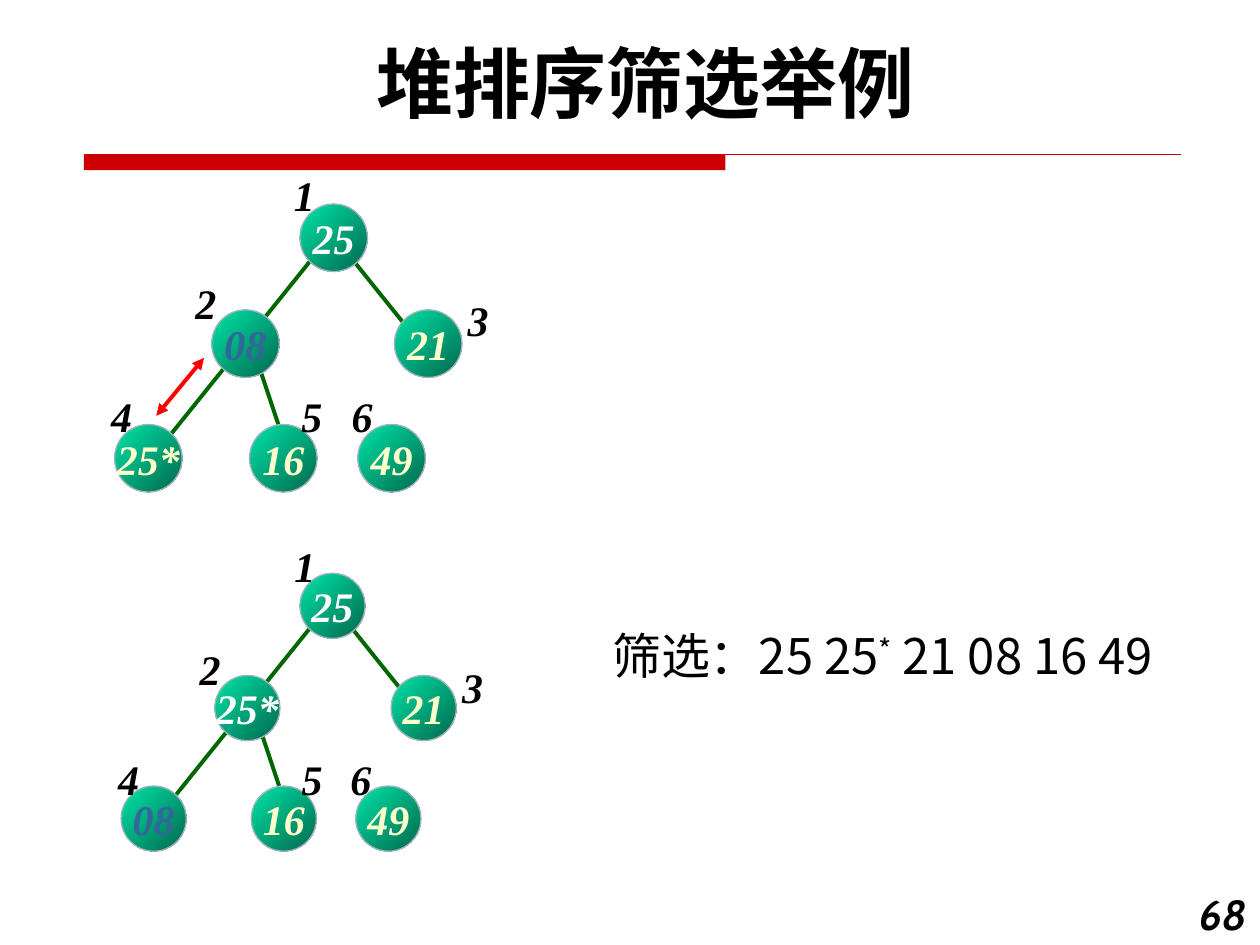
from lxml.etree import SubElement
from pptx import Presentation
from pptx.dml.color import RGBColor
from pptx.enum.shapes import MSO_CONNECTOR, MSO_SHAPE
from pptx.enum.text import MSO_ANCHOR, PP_ALIGN
from pptx.oxml.ns import qn
from pptx.util import Pt

COLORS = {
    "black": "000000", "white": "FFFFFF", "cream": "FFFFCC", "blue": "336699",
    "rule": "CC0000", "edge": "006600", "swap": "FF0000", "outline": "A3B2C1",
    "node light": "00E4A8", "node dark": "00684C",
}

TITLE = "堆排序筛选举例"
PAGE_NUMBER = "68"
RESULT = [("筛选：25 25", False), ("*", True), (" 21 08 16 49", False)]

# Node values in heap order, with their text colours
TREES = [
    {"origin": (171.4, 116.6), "scale": 1, "swap": True,
     "nodes": [("25", "white"), ("08", "blue"), ("21", "cream"),
               ("25*", "cream"), ("16", "cream"), ("49", "cream")]},
    {"origin": (171.4, 327.6), "scale": 0.965, "swap": False,
     "nodes": [("25", "white"), ("25*", "white"), ("21", "cream"),
               ("08", "blue"), ("16", "cream"), ("49", "cream")]},
]

# Tree geometry relative to the top left of the root node, at scale 1
NODE_SIZE = 38.6
NODE_OFFSETS = [(0, 0), (-50.4, 60.5), (54, 60.5), (-105.9, 126), (-28.8, 126), (33.1, 126)]
INDEX_OFFSETS = [(-10.8, -23), (-67, 38.2), (88.5, 48.3), (-115.2, 103), (-6.5, 103), (22.3, 103)]
INDEX_SIZE = (26.6, 36)
EDGES = [((26.6, 27.4), (70.5, 82.1)), ((-23.1, 93.6), (-12.3, 126)), ((10, 27.4), (-78.5, 137.5))]
SWAP_ARROW = ((-82.1, 121), (-54.8, 87.9))

NODE_FONT = {"name": "Times New Roman", "size": Pt(24), "bold": True, "italic": True}
PAGE_FONT = {"name": "Cabin", "size": Pt(24), "bold": True, "italic": True}
TITLE_FONT = {"name": "Cabin", "size": Pt(44), "bold": True}
RESULT_FONT = {"name": "Noto Sans CJK SC", "size": Pt(28)}


def rgb(color):
    return RGBColor.from_string(COLORS[color])


def add_run(paragraph, text, font, color="black"):
    run = paragraph.add_run()
    run.text = text
    for name, value in font.items():
        setattr(run.font, name, value)
    run.font.color.rgb = rgb(color)
    properties = run.font._element
    for tag in ("a:ea", "a:cs"):
        SubElement(properties, qn(tag), typeface=font["name"])
    return run


def add_text(slide, box, align, wrap=True):
    """Add an empty text box and return its paragraph."""
    frame = slide.shapes.add_textbox(*map(Pt, box)).text_frame
    frame.word_wrap = wrap
    frame.paragraphs[0].alignment = align
    return frame.paragraphs[0]


def add_line(slide, start, end, color, width=2.25, arrows=False):
    line = slide.shapes.add_connector(MSO_CONNECTOR.STRAIGHT, *map(Pt, (*start, *end)))
    line.line.color.rgb = rgb(color)
    line.line.width = Pt(width)
    if arrows:
        for tag in ("a:headEnd", "a:tailEnd"):
            SubElement(line.line._get_or_add_ln(), qn(tag), type="triangle")
    SubElement(line._element.spPr, qn("a:effectLst"))


def add_node(slide, left, top, size, value, color):
    node = slide.shapes.add_shape(MSO_SHAPE.OVAL, *map(Pt, (left, top, size, size)))
    node.shadow.inherit = False
    node.fill.gradient()
    node.fill.gradient_angle = 315
    for stop, stop_color in zip(node.fill.gradient_stops, ("node light", "node dark")):
        stop.color.rgb = rgb(stop_color)
    node.line.color.rgb = rgb("outline")
    node.line.width = Pt(0.75)
    frame = node.text_frame
    frame.word_wrap = False
    frame.vertical_anchor = MSO_ANCHOR.MIDDLE
    frame.paragraphs[0].alignment = PP_ALIGN.CENTER
    add_run(frame.paragraphs[0], value, NODE_FONT, color)


def add_tree(slide, tree):
    scale = tree["scale"]

    def place(offset):
        return tuple(round(base + scale * step, 2) for base, step in zip(tree["origin"], offset))

    for start, end in EDGES:
        add_line(slide, place(start), place(end), "edge")
    for offset, (value, color) in zip(NODE_OFFSETS, tree["nodes"]):
        add_node(slide, *place(offset), NODE_SIZE * scale, value, color)
    for index, offset in enumerate(INDEX_OFFSETS, start=1):
        paragraph = add_text(slide, (*place(offset), *INDEX_SIZE), PP_ALIGN.CENTER, wrap=False)
        add_run(paragraph, str(index), NODE_FONT)
    if tree["swap"]:
        add_line(slide, *map(place, SWAP_ARROW), "swap", arrows=True)


def add_title_rule(slide):
    bar = slide.shapes.add_shape(MSO_SHAPE.RECTANGLE, *map(Pt, (48, 88.4, 366.6, 8.8)))
    bar.shadow.inherit = False
    bar.fill.solid()
    bar.fill.fore_color.rgb = rgb("rule")
    bar.line.fill.background()
    add_line(slide, (48, 88.4), (674.6, 88.4), "rule", width=0.75)


def main():
    presentation = Presentation()
    presentation.slide_width, presentation.slide_height = Pt(720), Pt(540)
    slide = presentation.slides.add_slide(presentation.slide_layouts[6])

    add_title_rule(slide)
    add_run(add_text(slide, (672, 504, 48, 36), PP_ALIGN.RIGHT), PAGE_NUMBER, PAGE_FONT)
    for tree in TREES:
        add_tree(slide, tree)
    add_run(add_text(slide, (36, 16.6, 666, 60.5), PP_ALIGN.CENTER), TITLE, TITLE_FONT)

    result = add_text(slide, (342.7, 354.2, 384.5, 41), PP_ALIGN.LEFT)
    for text, superscript in RESULT:
        run = add_run(result, text, RESULT_FONT)
        if superscript:
            run.font._element.set("baseline", "30000")

    presentation.save("out.pptx")


if __name__ == "__main__":
    main()
